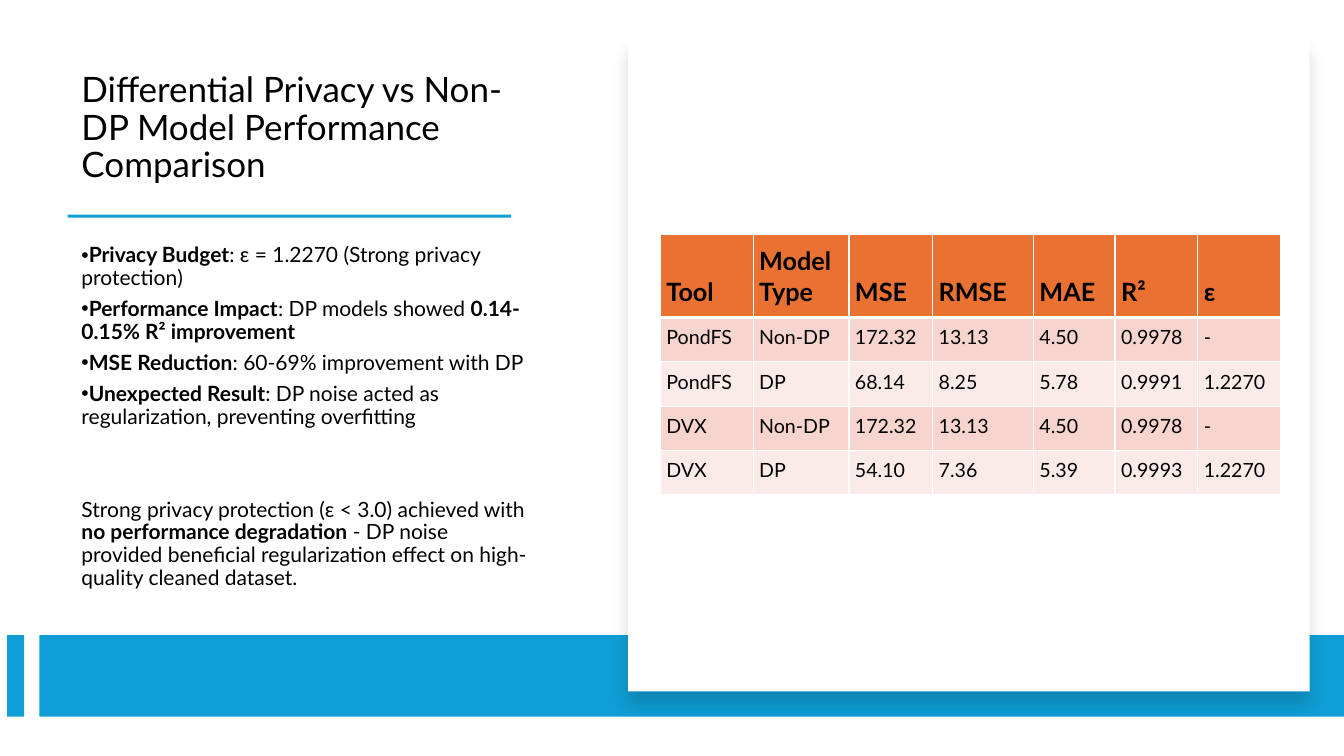
"""Build a slide comparing differentially private and non-private models."""
from lxml import etree
from pptx import Presentation
from pptx.dml.color import RGBColor
from pptx.enum.shapes import MSO_SHAPE
from pptx.enum.text import MSO_ANCHOR
from pptx.oxml import parse_xml
from pptx.oxml.ns import qn
from pptx.util import Inches, Pt

BLACK = RGBColor(0x00, 0x00, 0x00)
WHITE = RGBColor(0xFF, 0xFF, 0xFF)
BLUE = RGBColor(0x0F, 0x9E, 0xD5)
ORANGE = RGBColor(0xE9, 0x71, 0x32)
ROSE = RGBColor(0xF7, 0xD5, 0xCE)
PALE_ROSE = RGBColor(0xFB, 0xEB, 0xE8)
RECTANGLE = MSO_SHAPE.RECTANGLE
MIDDLE, BOTTOM = MSO_ANCHOR.MIDDLE, MSO_ANCHOR.BOTTOM
FONT = "Lato"
DRAWING_NS = 'xmlns:a="http://schemas.openxmlformats.org/drawingml/2006/main"'


def add_span(para, text, size=15, bold=False):
    span = para.add_run()
    span.text = text
    span.font.name = FONT
    span.font.size = Pt(size)
    span.font.bold = bold
    span.font.color.rgb = BLACK


def add_text_frame(page, left, top, width, height, anchor):
    box = page.shapes.add_textbox(Inches(left), Inches(top), Inches(width), Inches(height))
    box.text_frame.word_wrap = True
    box.text_frame.vertical_anchor = anchor
    return box.text_frame


deck = Presentation()
deck.slide_width = Inches(13.33)
deck.slide_height = Inches(7.5)
page = deck.slides.add_slide(deck.slide_layouts[6])

title = add_text_frame(page, 0.71, 0.58, 4.68, 1.31, BOTTOM).paragraphs[0]
title.line_spacing = 0.9
add_span(title, "Differential Privacy vs Non-DP Model Performance Comparison", size=25)

rectangles = [
    (0.67, 2.13, 4.4, 0.03, BLUE),
    (0.07, 6.3, 0.17, 0.81, BLUE),
    (0.39, 6.3, 12.94, 0.81, BLUE),
    (6.23, 0.39, 6.76, 6.47, WHITE),
]
for left, top, width, height, color in rectangles:
    panel = page.shapes.add_shape(
        RECTANGLE, Inches(left), Inches(top), Inches(width), Inches(height))
    panel.shadow.inherit = False
    panel.fill.solid()
    panel.fill.fore_color.rgb = color
    panel.line.fill.background()

effects = panel._element.spPr.find(qn("a:effectLst"))
effects.append(parse_xml(
    f'<a:outerShdw {DRAWING_NS} blurRad="{Pt(11)}" dist="{Pt(10)}" dir="5400000" rotWithShape="0">'
    '<a:srgbClr val="000000"><a:alpha val="15000"/></a:srgbClr></a:outerShdw>'))

findings = [
    [("Privacy Budget", True), (": ε = 1.2270 (Strong privacy protection)", False)],
    [("Performance Impact", True), (": DP models showed ", False),
     ("0.14-0.15% R² improvement", True)],
    [("MSE Reduction", True), (": 60-69% improvement with DP", False)],
    [("Unexpected Result", True),
     (": DP noise acted as regularization, preventing overfitting", False)],
]
conclusion = [
    ("Strong privacy protection (ε < 3.0) achieved with ", False),
    ("no performance degradation", True),
    (" - DP noise provided beneficial regularization effect on high-quality cleaned dataset.",
     False),
]
body = add_text_frame(page, 0.71, 2.22, 4.68, 3.84, MIDDLE)
for index, spans in enumerate(findings + [conclusion]):
    para = body.add_paragraph() if index else body.paragraphs[0]
    para.line_spacing = 0.9
    para.space_after = Pt(6)
    if spans is conclusion:
        para.space_before = Pt(44)
    else:
        properties = para._p.get_or_add_pPr()
        properties.set("marL", "0")
        properties.set("indent", str(Inches(-0.25)))
        etree.SubElement(properties, qn("a:buFont"), typeface="Arial")
        etree.SubElement(properties, qn("a:buChar"), char="•")
    for text, bold in spans:
        add_span(para, text, bold=bold)

results = [
    ["Tool", "Model Type", "MSE", "RMSE", "MAE", "R²", "ε"],
    ["PondFS", "Non-DP", "172.32", "13.13", "4.50", "0.9978", "-"],
    ["PondFS", "DP", "68.14", "8.25", "5.78", "0.9991", "1.2270"],
    ["DVX", "Non-DP", "172.32", "13.13", "4.50", "0.9978", "-"],
    ["DVX", "DP", "54.10", "7.36", "5.39", "0.9993", "1.2270"],
]
column_widths = [0.92, 0.95, 0.83, 1, 0.81, 0.82, 0.82]
row_heights = [0.82] + [0.44] * 4
table = page.shapes.add_table(
    len(results), len(column_widths),
    Inches(6.55), Inches(2.33), Inches(6.15), Inches(2.58)).table
for column, width in zip(table.columns, column_widths):
    column.width = Inches(width)
for row, height in zip(table.rows, row_heights):
    row.height = Inches(height)

for row_index, values in enumerate(results):
    is_header = row_index == 0
    row_color = ORANGE if is_header else ROSE if row_index % 2 else PALE_ROSE
    for column_index, value in enumerate(values):
        cell = table.cell(row_index, column_index)
        cell.margin_left = cell.margin_right = cell.margin_top = Inches(0.06)
        cell.margin_bottom = Inches(0.11)
        cell.vertical_anchor = BOTTOM if is_header else MIDDLE
        cell.fill.solid()
        cell.fill.fore_color.rgb = row_color
        add_span(cell.text_frame.paragraphs[0], value,
                 size=18 if is_header else 14, bold=is_header)
        borders = {"lnL": 1, "lnR": 1, "lnT": 3 if row_index == 1 else 1,
                   "lnB": 3 if is_header else 1}
        for position, (side, weight) in enumerate(borders.items()):
            cell._tc.get_or_add_tcPr().insert(position, parse_xml(
                f'<a:{side} {DRAWING_NS} w="{Pt(weight)}"><a:solidFill>'
                f'<a:srgbClr val="{WHITE}"/></a:solidFill></a:{side}>'))

deck.save("out.pptx")
